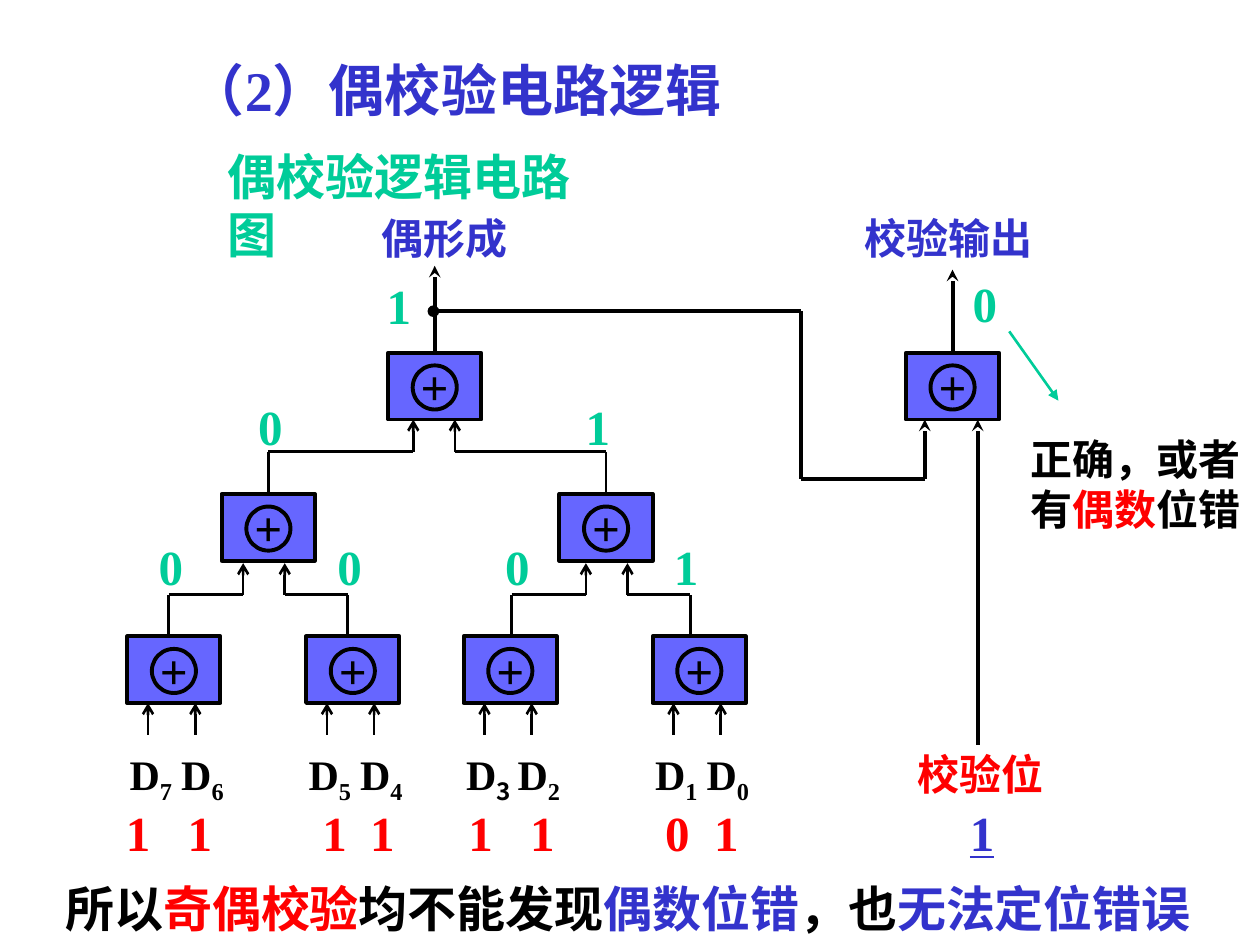
from dataclasses import dataclass
from typing import Optional

from lxml import etree
from pptx import Presentation
from pptx.dml.color import RGBColor
from pptx.enum.shapes import MSO_CONNECTOR, MSO_SHAPE
from pptx.enum.text import MSO_ANCHOR, PP_ALIGN
from pptx.oxml.ns import qn
from pptx.util import Inches, Pt

STRAIGHT = MSO_CONNECTOR.STRAIGHT
RECTANGLE, OVAL = MSO_SHAPE.RECTANGLE, MSO_SHAPE.OVAL
MIDDLE, CENTER = MSO_ANCHOR.MIDDLE, PP_ALIGN.CENTER

BLACK = RGBColor(0x00, 0x00, 0x00)
BLUE = RGBColor(0x33, 0x33, 0xCC)
GATE_BLUE = RGBColor(0x66, 0x66, 0xFF)
GREEN = RGBColor(0x00, 0xCC, 0x99)
RED = RGBColor(0xFF, 0x00, 0x00)

SERIF, SANS = "Times New Roman", "Noto Sans CJK SC"
THIN, THICK = 1.5, 2.25

# The slide is a grid of 100 columns by 75 rows; all lengths count cells.
COLUMNS, ROWS = 100, 75
CELL = Inches(0.1)
GATE_WIDTH, GATE_HEIGHT, RING = 7.4, 5.3, 3.5
DIGIT_WIDTH, LINE_HEIGHT = 5.5, 5.7
TOP_ROW, MIDDLE_ROW, BOTTOM_ROW = 28, 39.2, 50.5


@dataclass
class Piece:
    text: str
    color: RGBColor = BLACK
    font: Optional[str] = None
    subscript: bool = False
    underline: bool = False


@dataclass
class InputGate:
    column: float
    labels: tuple


@dataclass
class Wire:
    points: list
    width: float = THIN
    start: Optional[str] = None
    end: Optional[str] = None
    color: RGBColor = BLACK
    source: Optional[object] = None


def cells(count: float) -> int:
    return round(count * CELL)


def add_text(slide, column: float, row: float, width: float, height: float,
             size: float, pieces: list, wrap: bool = True, tabs: tuple = ()) -> None:
    box = slide.shapes.add_textbox(cells(column), cells(row), cells(width), cells(height))
    box.text_frame.word_wrap = wrap
    paragraph = box.text_frame.paragraphs[0]
    if tabs:
        tab_list = etree.SubElement(paragraph._p.get_or_add_pPr(), qn("a:tabLst"))
        for stop in tabs:
            etree.SubElement(tab_list, qn("a:tab"), pos=str(cells(stop)), algn="l")
    paragraph.font.size = Pt(size)
    paragraph.font.bold = True
    paragraph.font.name = SERIF
    for piece in pieces:
        run = paragraph.add_run()
        run.text = piece.text
        run.font.color.rgb = piece.color
        if piece.font:
            run.font.name = piece.font
        if piece.underline:
            run.font.underline = True
        if piece.subscript:
            run._r.get_or_add_rPr().set("baseline", "-25000")


def add_outlined(slide, kind, column: float, row: float, width: float, height: float):
    shape = slide.shapes.add_shape(kind, cells(column), cells(row), cells(width), cells(height))
    shape.shadow.inherit = False
    shape.line.color.rgb = BLACK
    shape.line.width = Pt(THICK)
    return shape


def add_gate(slide, column: float, row: float):
    """Draw an exclusive-or gate: a box with a ringed plus sign."""
    gate = add_outlined(slide, RECTANGLE, column, row, GATE_WIDTH, GATE_HEIGHT)
    gate.fill.solid()
    gate.fill.fore_color.rgb = GATE_BLUE
    frame = gate.text_frame
    frame.word_wrap = False
    frame.vertical_anchor = MIDDLE
    paragraph = frame.paragraphs[0]
    paragraph.text = "+"
    paragraph.alignment = CENTER
    paragraph.font.size = Pt(28)
    paragraph.font.bold = True
    paragraph.font.name = SERIF
    paragraph.font.color.rgb = BLACK
    ring = add_outlined(slide, OVAL, column + (GATE_WIDTH - RING) / 2, row + 1, RING, RING)
    ring.fill.background()
    return gate


def add_wire(slide, wire: Wire) -> None:
    """Draw a wire as straight segments, with optional ends and a source gate."""
    segments = list(zip(wire.points, wire.points[1:]))
    for index, (begin, finish) in enumerate(segments):
        line = slide.shapes.add_connector(STRAIGHT, *map(cells, begin + finish))
        if index == 0 and wire.source is not None:
            line.begin_connect(wire.source, 0)
        line.line.color.rgb = wire.color
        line.line.width = Pt(wire.width)
        properties = line._element.spPr
        outline = line.line._get_or_add_ln()
        if index == 0 and wire.start:
            etree.SubElement(outline, qn("a:headEnd"), type=wire.start)
        if index == len(segments) - 1 and wire.end:
            etree.SubElement(outline, qn("a:tailEnd"), type=wire.end)
        etree.SubElement(properties, qn("a:effectLst"))


def add_input_gate(slide, spec_gate: InputGate) -> None:
    column = spec_gate.column
    add_gate(slide, column, BOTTOM_ROW)
    for arrow, label, width, name in zip((1.65, 5.4), (-0.8, 3.3), (5.8, 6.7), spec_gate.labels):
        add_wire(slide, Wire([(column + arrow, 58.3), (column + arrow, 55.8)], end="arrow"))
        font = SANS if name == "3" else None
        add_text(slide, column + label, 58.9, width, 5.6, 24,
                 [Piece("D"), Piece(name, font=font, subscript=True)])


def main() -> None:
    presentation = Presentation()
    presentation.slide_width = CELL * COLUMNS
    presentation.slide_height = CELL * ROWS
    slide = presentation.slides.add_slide(presentation.slide_layouts[6])

    add_text(slide, 14, 3.9, 53.3, 6.4, 32,
             [Piece("（2）偶", BLUE), Piece("校验电路逻辑", BLUE, SANS)])
    add_text(slide, 17.1, 11.1, 33, LINE_HEIGHT, 28,
             [Piece("偶", GREEN), Piece("校验逻辑电路图", GREEN, SANS)], wrap=False)

    left_gate = add_gate(slide, 17.6, MIDDLE_ROW)
    right_gate = add_gate(slide, 44.4, MIDDLE_ROW)
    even_gate = add_gate(slide, 30.8, TOP_ROW)
    check_gate = add_gate(slide, 71.9, TOP_ROW)
    for gate in (InputGate(10.1, ("7", "6")), InputGate(24.3, ("5", "4")),
                 InputGate(36.8, ("3", "2")), InputGate(51.8, ("1", "0"))):
        add_input_gate(slide, gate)

    for begin, finish in ((13.4, 19.3), (27.6, 22.6), (40.6, 46.5), (54.8, 49.8)):
        add_wire(slide, Wire([(begin, BOTTOM_ROW), (begin, 47.2), (finish, 47.2),
                              (finish, 44.7)], end="arrow"))
    for source, begin, finish in ((left_gate, 21.3, 32.8), (right_gate, 48.1, 36.1)):
        add_wire(slide, Wire([(begin, MIDDLE_ROW), (begin, 35.85), (finish, 35.85),
                              (finish, 33.3)], end="arrow", source=source))
    for wire in (
        Wire([(34.5, TOP_ROW), (34.5, 21.1)], THICK, end="stealth", source=even_gate),
        Wire([(75.6, TOP_ROW), (75.6, 21.4)], THICK, end="stealth", source=check_gate),
        Wire([(34.4, 24.7), (63.6, 24.7), (63.6, 38), (73.4, 38), (73.4, 33.3)],
             THICK, start="oval", end="stealth"),
        Wire([(77.6, 59.1), (77.6, 33.3)], THICK, end="stealth"),
        Wire([(80.1, 26.3), (84, 31.8)], end="triangle", color=GREEN),
    ):
        add_wire(slide, wire)

    for column, row, width, text, color in ((29.3, 16.4, 12.5, "偶形成", BLUE),
                                            (67.6, 16.4, 15.8, "校验输出", BLUE),
                                            (71.8, 58.9, 12.5, "校验位", RED)):
        add_text(slide, column, row, width, 5, 24, [Piece(text, color)])

    for column, row, digit in ((29.7, 21.4, "1"), (76.2, 21.2, "0"),
                               (19.5, 31, "0"), (45.5, 31, "1"),
                               (11.6, 42.1, "0"), (25.8, 42.1, "0"),
                               (39.1, 42.1, "0"), (52.5, 42.1, "1")):
        add_text(slide, column, row, DIGIT_WIDTH, LINE_HEIGHT, 28, [Piece(digit, GREEN)])

    add_text(slide, 9, 63.2, 75, LINE_HEIGHT, 28,
             [Piece("\t".join("11111101") + "\t", RED), Piece("1", BLUE, underline=True)],
             tabs=(4.9, 15.6, 19.4, 27.2, 32.1, 42.8, 46.7, 67))
    add_text(slide, 80.8, 33.9, 19.3, 9, 24,
             [Piece("正确，或者有"), Piece("偶数", RED), Piece("位错")])
    add_text(slide, 4.2, 69.2, 91.3, LINE_HEIGHT, 28,
             [Piece("所以"), Piece("奇偶", RED), Piece("校验", RED, SANS),
              Piece("均不能发现"), Piece("偶数位错", BLUE), Piece("，也"),
              Piece("无法定位错误", BLUE)], wrap=False)

    presentation.save("out.pptx")


if __name__ == "__main__":
    main()
